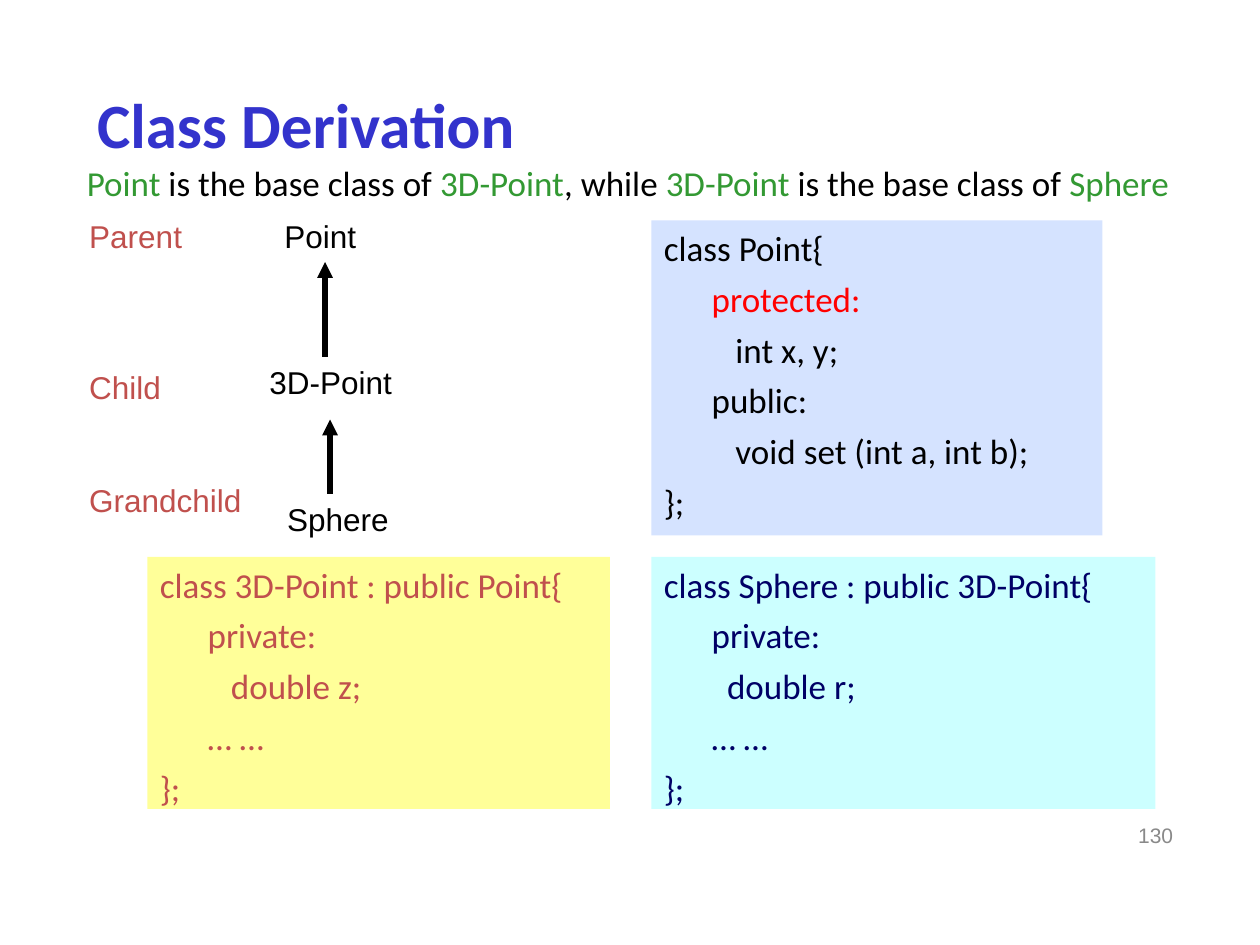
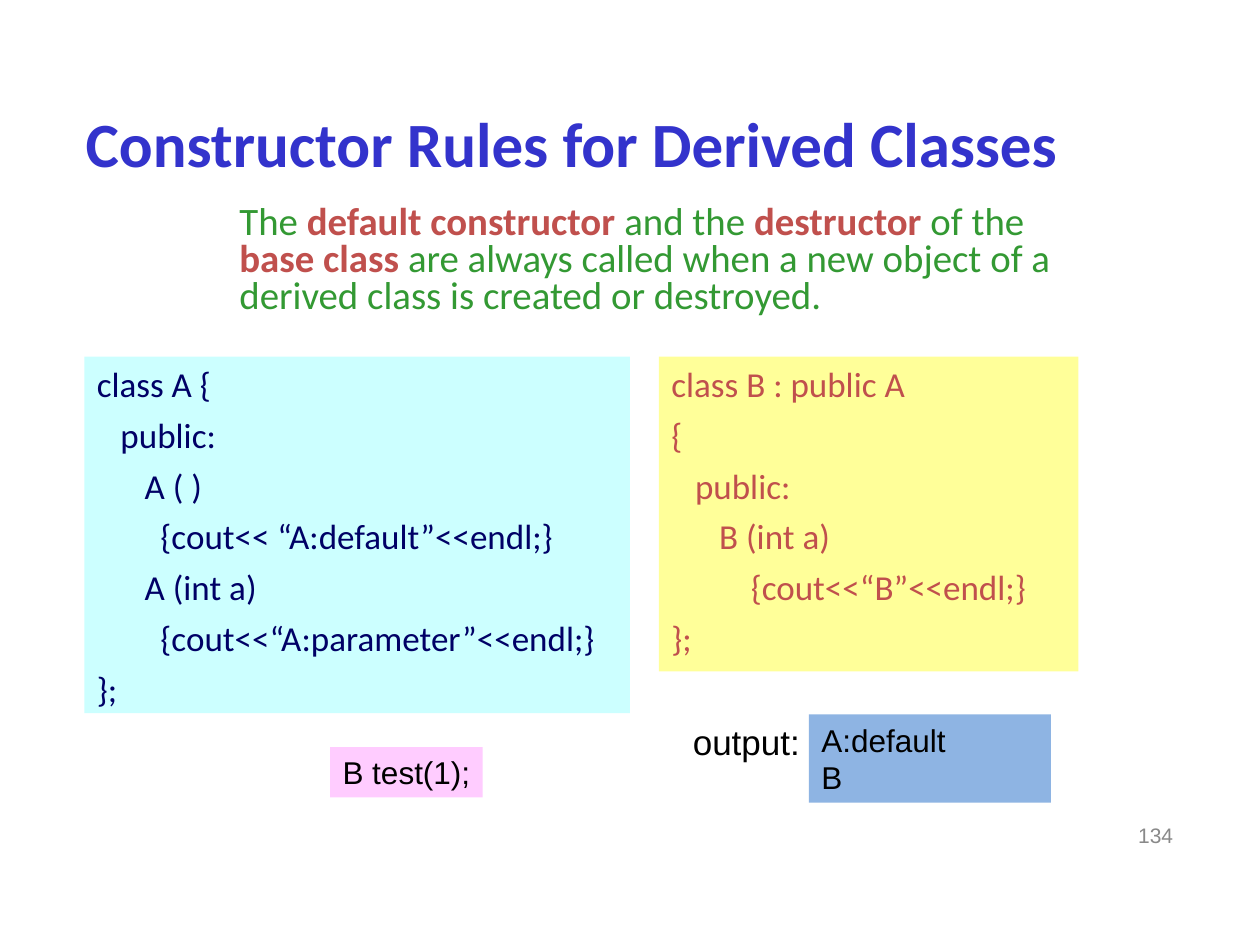
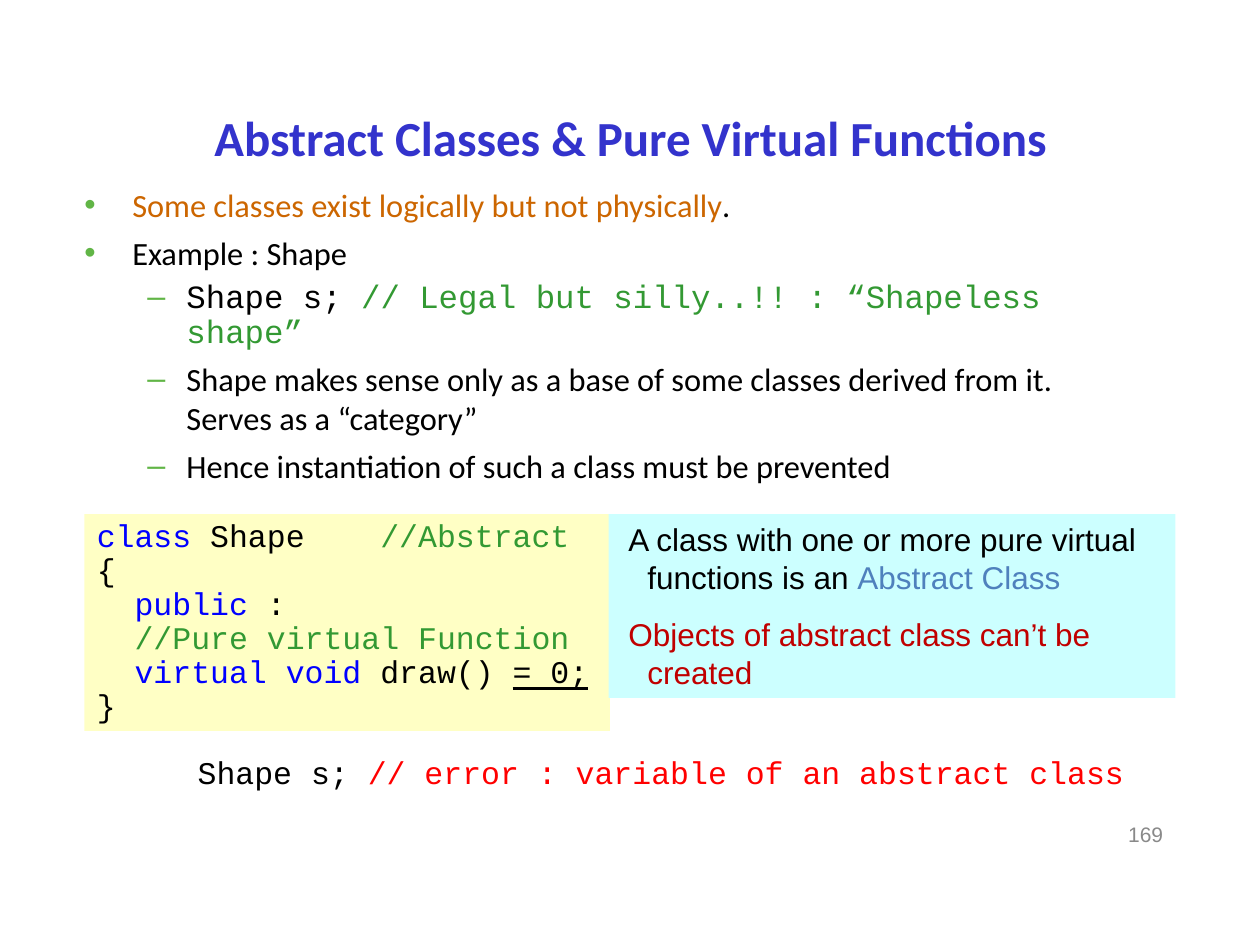
from lxml.etree import SubElement
from pptx import Presentation
from pptx.dml.color import RGBColor
from pptx.enum.shapes import MSO_CONNECTOR, MSO_SHAPE
from pptx.enum.text import MSO_ANCHOR, MSO_AUTO_SIZE, PP_ALIGN
from pptx.oxml.ns import qn
from pptx.util import Inches, Pt

HUES = {
    "black": "000000", "title": "3333CC", "gray": "898989",
    "green": "339933", "brick": "C0504D", "red": "FF0000",
    "navy": "000066", "key": "0000FF", "orange": "CC6600",
    "steel": "4F81BD", "wine": "C00000", "bullet": "61B546",
    "ice": "D5E3FF", "lemon": "FFFF99", "aqua": "CCFFFF",
    "pink": "FFCCFF", "sky": "8EB4E3", "cream": "FFFFC5",
}
SANS, BODY, MONO = "Arial", "Calibri", "Courier New"


def hue(name):
    return RGBColor.from_string(HUES[name])


def write(para, line, font=SANS, size=18, color="black"):
    parts = [(line, color)] if isinstance(line, str) else line
    for text, tint, *style in parts:
        run = para.add_run()
        run.text = text
        run.font.name = font
        run.font.size = Pt(size)
        run.font.color.rgb = hue(tint)
        if "bold" in style:
            run.font.bold = True
        if "under" in style:
            run.font.underline = True


def indent(para, left, first):
    props = para._p.get_or_add_pPr()
    props.set("marL", str(Inches(left)))
    props.set("indent", str(Inches(first)))
    return props


def bullet(para, char=None):
    if char:
        props = indent(para, *((0.81, -0.31) if para.level else (0.38, -0.38)))
        tint = SubElement(props, qn("a:buClr"))
        SubElement(tint, qn("a:srgbClr"), val=HUES["bullet"])
        SubElement(props, qn("a:buChar"), char=char)
    else:
        SubElement(indent(para, 0.38, 0), qn("a:buNone"))


def rows(frame, lines, gap=0, space=None, hang=None, **look):
    for num, line in enumerate(lines):
        para = frame.add_paragraph() if num else frame.paragraphs[0]
        para.alignment = PP_ALIGN.LEFT
        if hang:
            indent(para, *hang)
        para.space_before = Pt(gap if num else 0)
        if space:
            para.line_spacing = space
        write(para, line, **look)


def place(shape, box):
    shape.left, shape.top, shape.width, shape.height = map(Inches, box)


def label(slide, box, lines, wrap=False, **look):
    frame = slide.shapes.add_textbox(*map(Inches, box)).text_frame
    frame.word_wrap = wrap
    frame.auto_size = MSO_AUTO_SIZE.SHAPE_TO_FIT_TEXT
    rows(frame, lines, **look)
    return frame


def panel(slide, box, fill, lines, wrap=True, **look):
    shape = slide.shapes.add_shape(MSO_SHAPE.RECTANGLE, *map(Inches, box))
    shape.shadow.inherit = False
    shape.fill.solid()
    shape.fill.fore_color.rgb = hue(fill)
    shape.line.fill.background()
    frame = shape.text_frame
    frame.word_wrap = wrap
    frame.vertical_anchor = MSO_ANCHOR.TOP
    rows(frame, lines, **look)


def code(slide, box, fill, color, lines):
    panel(slide, box, fill, lines, gap=5, hang=(0.38, -0.38),
          font=BODY, size=20, color=color)


def arrow(slide, x, top, end):
    line = slide.shapes.add_connector(
        MSO_CONNECTOR.STRAIGHT, *map(Inches, (x, top, x, end)))
    line.line.color.rgb = hue("black")
    line.line.width = Pt(3)
    props = line._element.spPr
    SubElement(props.find(qn("a:ln")), qn("a:headEnd"), type="triangle")
    SubElement(props, qn("a:effectLst"))


def start(deck, layout, title, box, num, size=36, align=PP_ALIGN.LEFT,
          anchor=MSO_ANCHOR.MIDDLE, foot=(7.08, 6.43, 2.33, 0.4)):
    slide = deck.slides.add_slide(deck.slide_layouts[layout])
    head = slide.shapes.title
    place(head, box)
    frame = head.text_frame
    frame.auto_size = MSO_AUTO_SIZE.NONE
    frame.vertical_anchor = anchor
    write(frame.paragraphs[0], [(title, "title", "bold")], BODY, size)
    frame.paragraphs[0].alignment = align
    page = label(slide, foot, [num], wrap=True, size=12, color="gray")
    page.auto_size = MSO_AUTO_SIZE.NONE
    page.vertical_anchor = MSO_ANCHOR.MIDDLE
    page.paragraphs[0].alignment = PP_ALIGN.RIGHT
    return slide


def content(slide, box):
    body = slide.placeholders[1]
    place(body, box)
    body.text_frame.auto_size = MSO_AUTO_SIZE.NONE
    return body.text_frame


def derive(deck):
    slide = start(deck, 5, "Class Derivation", (0.67, 0.79, 8.5, 0.37), "130")
    label(slide, (0.59, 1.23, 8.81, 0.44), [[
        ("Point", "green"), (" is the base class of ", "black"),
        ("3D-Point", "green"), (", while ", "black"),
        ("3D-Point", "green"), (" is the base class of ", "black"),
        ("Sphere", "green")]], font=BODY, size=20)
    for name, box in (("Point", (2.16, 1.67, 0.8, 0.4)),
                      ("3D-Point", (2.04, 2.83, 1.2, 0.4)),
                      ("Sphere", (2.18, 3.92, 1.06, 0.4))):
        label(slide, box, [name])
    arrow(slide, 2.58, 2.08, 2.83)
    arrow(slide, 2.62, 3.33, 3.92)
    kin = label(slide, (0.61, 1.67, 1.58, 2.8),
                ["Parent", "Child", "Grandchild"], wrap=True, color="brick")
    for para, gap in zip(kin.paragraphs[1:], (65, 43)):
        para.space_before = Pt(gap)
    code(slide, (5.17, 1.75, 3.58, 2.5), "ice", "black", [
        "class Point{", [("\t", "black"), ("protected:", "red")],
        "\t   int x, y;", "\tpublic:", "\t   void set (int a, int b);", "};"])
    code(slide, (1.17, 4.42, 3.67, 2), "lemon", "brick", [
        "class 3D-Point : public Point{", "\tprivate:",
        "         double z;", "\t… …", "};"])
    code(slide, (5.17, 4.42, 4, 2), "aqua", "navy", [
        "class Sphere : public 3D-Point{", "\tprivate:",
        "        double r;", "\t… …", "};"])


def construct(deck):
    slide = start(deck, 1, "Constructor Rules for Derived Classes",
                  (0.58, 0.75, 8.92, 0.73), "134", anchor=MSO_ANCHOR.BOTTOM)
    para = content(slide, (1.42, 1.58, 7.08, 1.25)).paragraphs[0]
    bullet(para)
    para.space_before = Pt(0)
    para.line_spacing = 0.8
    write(para, [
        ("The ", "green"), ("default constructor", "brick", "bold"),
        (" and the ", "green"), ("destructor", "brick", "bold"),
        (" of the ", "green"), ("base class ", "brick", "bold"),
        ("are always called when a new object of a derived class "
         "is created or destroyed.", "green")], BODY, 22.2)
    code(slide, (0.67, 2.83, 4.33, 2.83), "aqua", "navy", [
        "class A {", "   public:", "\tA ( )",
        "\t  {cout<< “A:default”<<endl;}", "\tA (int a)",
        "\t  {cout<<“A:parameter”<<endl;}", "};"])
    code(slide, (5.23, 2.83, 3.33, 2.5), "lemon", "brick", [
        "class B : public A", "{", "   public:", "\tB (int a)",
        "\t    {cout<<“B”<<endl;}", "};"])
    panel(slide, (2.62, 5.93, 1.21, 0.4), "pink", ["B test(1);"], wrap=False)
    panel(slide, (6.42, 5.67, 1.92, 0.7), "sky", ["A:default", "B"])
    label(slide, (5.4, 5.67, 1.05, 0.44), ["output:"], size=20)


def abstract(deck):
    slide = start(deck, 1, "Abstract Classes & Pure Virtual Functions",
                  (0.67, 0.75, 8.67, 0.67), "169", size=28,
                  align=PP_ALIGN.CENTER, foot=(7.75, 6.43, 1.58, 0.38))
    frame = content(slide, (0.67, 1.42, 8.33, 2.67))
    frame.margin_left = frame.margin_right = 0
    points = [
        (0, BODY, [("Some classes exist logically but not physically",
                    "orange"), (".", "black")]),
        (0, BODY, "Example : Shape"),
        (1, MONO, [("Shape s; ", "black"),
                   ("// Legal but silly..!! : “Shapeless shape”", "green")]),
        (1, BODY, "Shape makes sense only as a base of some classes "
                  "derived from it. Serves as a “category”"),
        (1, BODY, "Hence instantiation of such a class must be prevented"),
    ]
    for num, (level, font, line) in enumerate(points):
        para = frame.add_paragraph() if num else frame.paragraphs[0]
        para.level = level
        bullet(para, "•–"[level])
        para.space_before = Pt(5 if num else 0)
        if font == MONO:
            para.line_spacing = 0.9
        write(para, line, font, 18.5)
    panel(slide, (0.67, 4.08, 4.17, 1.72), "cream", [
        [("class", "key"), (" Shape    ", "black"), ("//Abstract", "green")],
        "{",
        [("  public", "key"), (" :", "black")],
        [("  //Pure virtual Function", "green")],
        [("  virtual void", "key"), (" draw() ", "black"),
         ("= 0;", "black", "under")],
        "}"], space=0.9, font=MONO)
    panel(slide, (4.83, 4.08, 4.5, 1.46), "aqua", [
        [("A class with one or more pure virtual functions is an ", "black"),
         ("Abstract Class", "steel")],
        [("Objects of abstract class can’t be created", "wine")]],
        gap=11.2, hang=(0.21, -0.15))
    label(slide, (1.47, 5.93, 7.55, 0.4), [[
        ("Shape s; ", "black"),
        ("// error : variable of an abstract class", "red")]], font=MONO)


def main():
    deck = Presentation()
    deck.slide_width, deck.slide_height = Inches(10), Inches(7.5)
    derive(deck)
    construct(deck)
    abstract(deck)
    deck.save("out.pptx")


if __name__ == "__main__":
    main()
